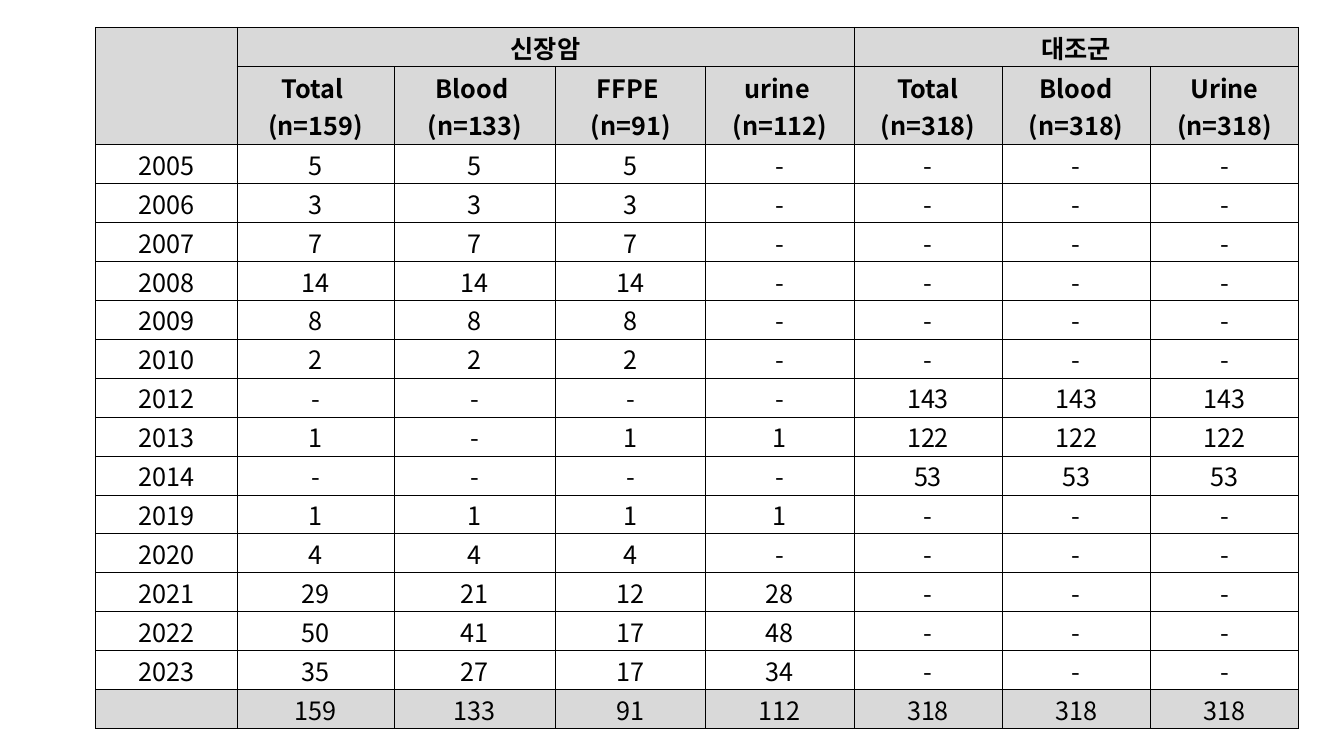
import pptx
import pptx.dml.color
import pptx.enum.text
import pptx.oxml.ns
import pptx.util
from lxml import etree

Inches, Pt = pptx.util.Inches, pptx.util.Pt
BLACK = pptx.dml.color.RGBColor(0x00, 0x00, 0x00)
GRAY = pptx.dml.color.RGBColor(0xD9, 0xD9, 0xD9)
FONT = "Noto Sans CJK KR"

HEADERS = [
    ["", "신장암", "", "", "", "대조군", "", ""],
    ["", "Total \n(n=159)", "Blood \n(n=133)", "FFPE \n(n=91)", "urine \n(n=112)",
     "Total\n(n=318)", "Blood\n(n=318)", "Urine\n(n=318)"],
]
YEARS = [
    ["2005", "5", "5", "5", "-", "-", "-", "-"],
    ["2006", "3", "3", "3", "-", "-", "-", "-"],
    ["2007", "7", "7", "7", "-", "-", "-", "-"],
    ["2008", "14", "14", "14", "-", "-", "-", "-"],
    ["2009", "8", "8", "8", "-", "-", "-", "-"],
    ["2010", "2", "2", "2", "-", "-", "-", "-"],
    ["2012", "-", "-", "-", "-", "143", "143", "143"],
    ["2013", "1", "-", "1", "1", "122", "122", "122"],
    ["2014", "-", "-", "-", "-", "53", "53", "53"],
    ["2019", "1", "1", "1", "1", "-", "-", "-"],
    ["2020", "4", "4", "4", "-", "-", "-", "-"],
    ["2021", "29", "21", "12", "28", "-", "-", "-"],
    ["2022", "50", "41", "17", "48", "-", "-", "-"],
    ["2023", "35", "27", "17", "34", "-", "-", "-"],
]
TOTALS = ["", "159", "133", "91", "112", "318", "318", "318"]
ROWS = HEADERS + YEARS + [TOTALS]
MERGES = [((0, 0), (1, 0)), ((0, 1), (0, 4)), ((0, 5), (0, 7))]

COLUMN_WIDTHS = [1.4, 1.56, 1.6, 1.49] + [1.47] * 4
ROW_HEIGHT = 0.387
HEADING_HEIGHT = 0.77
ROW_HEIGHTS = [0.39, HEADING_HEIGHT] + [ROW_HEIGHT] * (len(ROWS) - 2)


def add_child(parent, tag, **attributes):
    return etree.SubElement(parent, pptx.oxml.ns.qn(tag), **attributes)


def add_borders(cell):
    properties = cell._tc.get_or_add_tcPr()
    for side in ("L", "R", "T", "B"):
        line = add_child(properties, "a:ln" + side, w=str(Pt(0.5)))
        add_child(add_child(line, "a:solidFill"), "a:srgbClr", val=str(BLACK))


def format_text(cell, bold):
    cell.vertical_anchor = pptx.enum.text.MSO_ANCHOR.MIDDLE
    cell.margin_left = cell.margin_top = cell.margin_right = Inches(0.01)
    cell.margin_bottom = 0
    for para in cell.text_frame.paragraphs:
        para.alignment = pptx.enum.text.PP_ALIGN.CENTER
        para.font.name = FONT
        para.font.size = Pt(18)
        para.font.bold = bold
        para.font.color.rgb = BLACK
        # Korean text takes its font from the East Asian slot
        defaults = para._p.pPr.find(pptx.oxml.ns.qn("a:defRPr"))
        add_child(defaults, "a:ea", typeface=FONT)


def main():
    deck = pptx.Presentation()
    deck.slide_width, deck.slide_height = Inches(13.33), Inches(7.5)
    page = deck.slides.add_slide(deck.slide_layouts[6])
    table = page.shapes.add_table(
        len(ROWS), len(COLUMN_WIDTHS), Inches(0.95), Inches(0.27),
        Inches(sum(COLUMN_WIDTHS)), Inches(sum(ROW_HEIGHTS))).table
    table.first_row = table.horz_banding = False

    for column, width in zip(table.columns, COLUMN_WIDTHS):
        column.width = Inches(width)
    for row, height in zip(table.rows, ROW_HEIGHTS):
        row.height = Inches(height)

    for row_index, values in enumerate(ROWS):
        is_header = row_index < len(HEADERS)
        for column_index, value in enumerate(values):
            cell = table.cell(row_index, column_index)
            cell.text = value
            format_text(cell, is_header)
            add_borders(cell)
            if is_header or values is TOTALS:
                cell.fill.solid()
                cell.fill.fore_color.rgb = GRAY
            else:
                cell.fill.background()

    for first, last in MERGES:
        table.cell(*first).merge(table.cell(*last))
    deck.save("out.pptx")


if __name__ == "__main__":
    main()
